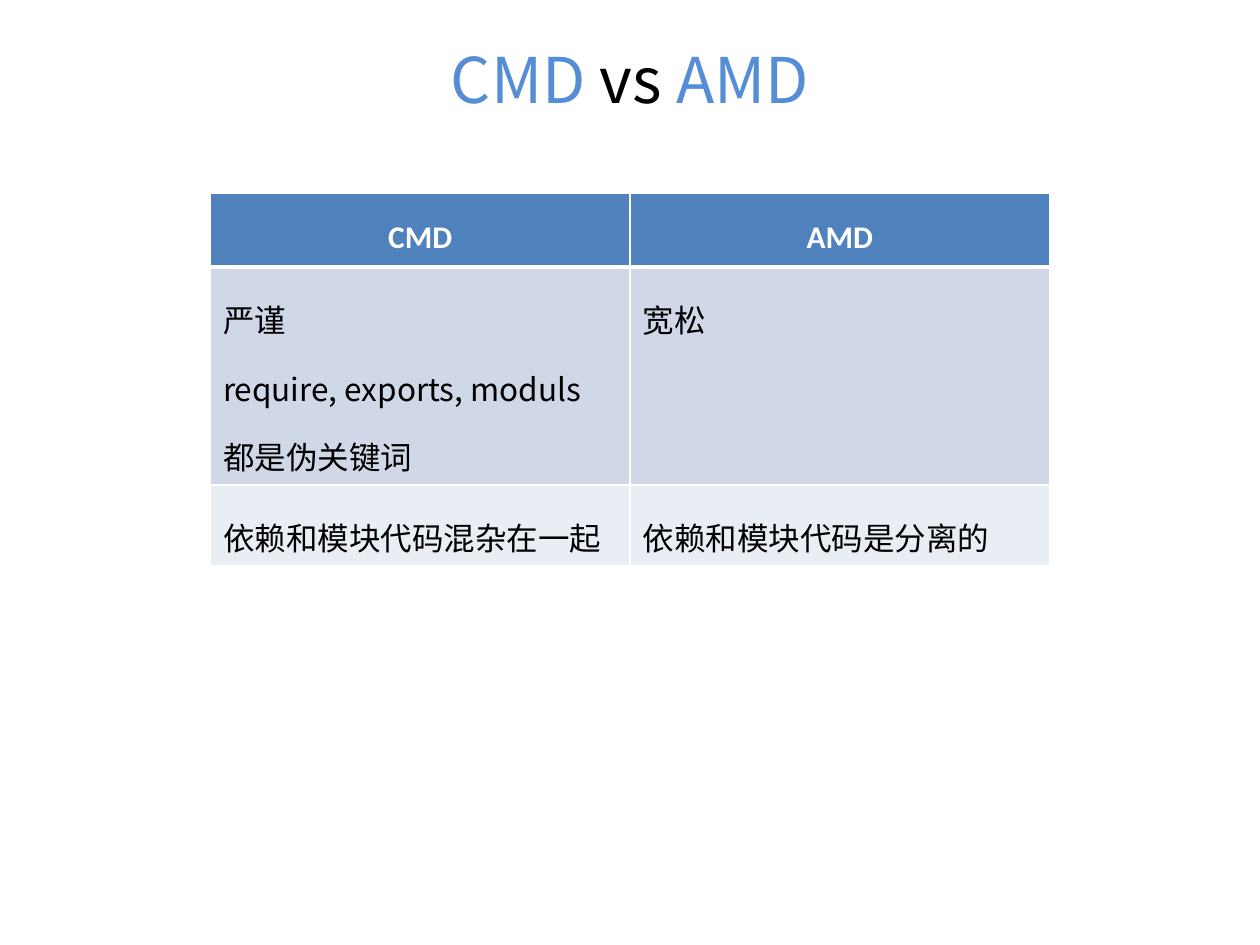
from lxml.etree import SubElement
from pptx import Presentation
from pptx.dml.color import RGBColor
from pptx.enum.text import MSO_ANCHOR, PP_ALIGN
from pptx.oxml.ns import qn
from pptx.util import Inches, Pt

# Content
TITLE = [("CMD ", "accent"), ("vs", "text"), (" AMD", "accent")]
ROWS = [
    (["CMD"], ["AMD"]),
    (["严谨", "require, exports, moduls 都是伪关键词"], ["宽松"]),
    (["依赖和模块代码混杂在一起"], ["依赖和模块代码是分离的"]),
]
ROW_HEIGHTS = [0.59, 1.44, 0.59]
COL_WIDTH = 3.33

THEME = {
    "accent": "558ED5", "text": "000000", "white": "FFFFFF",
    "fills": ["4F81BD", "D0D8E8", "E9EDF4"],
    "font": "Noto Sans CJK SC", "header_font": "Calibri",
    "title_size": 36, "cell_size": 18,
    "rule": 1, "header_rule": 3,
}


def add_run(p, text, size, color="text", font=THEME["font"], bold=False):
    r = p.add_run()
    r.text = text
    r.font.size = Pt(size)
    r.font.bold = bold
    r.font.name = font
    r.font.color.rgb = RGBColor.from_string(THEME[color])
    SubElement(r._r.get_or_add_rPr(), qn("a:ea"), typeface=font)


def set_borders(cell, widths):
    tcPr = cell._tc.get_or_add_tcPr()
    for side, width in widths.items():
        ln = SubElement(tcPr, qn(f"a:ln{side}"), w=str(Pt(width)))
        fill = SubElement(ln, qn("a:solidFill"))
        SubElement(fill, qn("a:srgbClr"), val=THEME["white"])


def fill_cell(cell, lines, row):
    header = row == 0
    rule, heavy = THEME["rule"], THEME["header_rule"]
    set_borders(cell, {"L": rule, "R": rule,
                       "T": heavy if row == 1 else rule,
                       "B": heavy if header else rule})
    cell.fill.solid()
    cell.fill.fore_color.rgb = RGBColor.from_string(THEME["fills"][row])
    tf = cell.text_frame
    for i, line in enumerate(lines):
        p = tf.add_paragraph() if i else tf.paragraphs[0]
        p.line_spacing = 1.5
        p.alignment = PP_ALIGN.CENTER if header else PP_ALIGN.LEFT
        add_run(p, line, THEME["cell_size"], bold=header,
                color="white" if header else "text",
                font=THEME["header_font"] if header else THEME["font"])


prs = Presentation()
prs.slide_width, prs.slide_height = Inches(10), Inches(7.5)
s = prs.slides.add_slide(prs.slide_layouts[5])

# Title
title = s.shapes.title
title.left, title.top = Inches(0.5), Inches(0)
title.width, title.height = Inches(9), Inches(1.25)
tf = title.text_frame
tf.vertical_anchor = MSO_ANCHOR.MIDDLE
p = tf.paragraphs[0]
p.alignment = PP_ALIGN.CENTER
for text, color in TITLE:
    add_run(p, text, THEME["title_size"], color=color)

# Comparison table
cols = len(ROWS[0])
table = s.shapes.add_table(
    len(ROWS), cols, Inches(1.67), Inches(1.53),
    Inches(COL_WIDTH * cols), Inches(sum(ROW_HEIGHTS))).table
for col in table.columns:
    col.width = Inches(COL_WIDTH)
for i, (cells, height) in enumerate(zip(ROWS, ROW_HEIGHTS)):
    table.rows[i].height = Inches(height)
    for j, lines in enumerate(cells):
        fill_cell(table.cell(i, j), lines, i)

prs.save("out.pptx")
